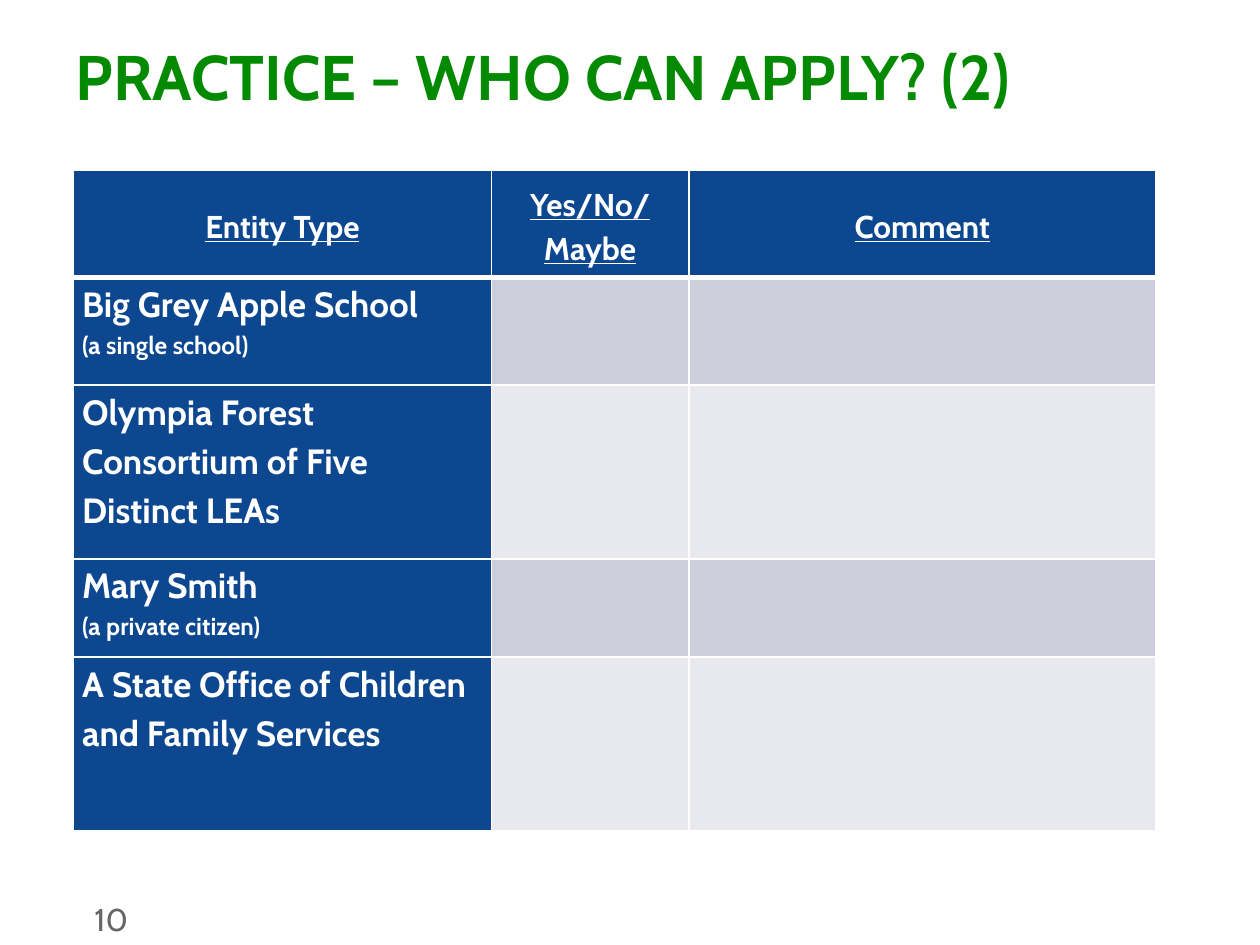
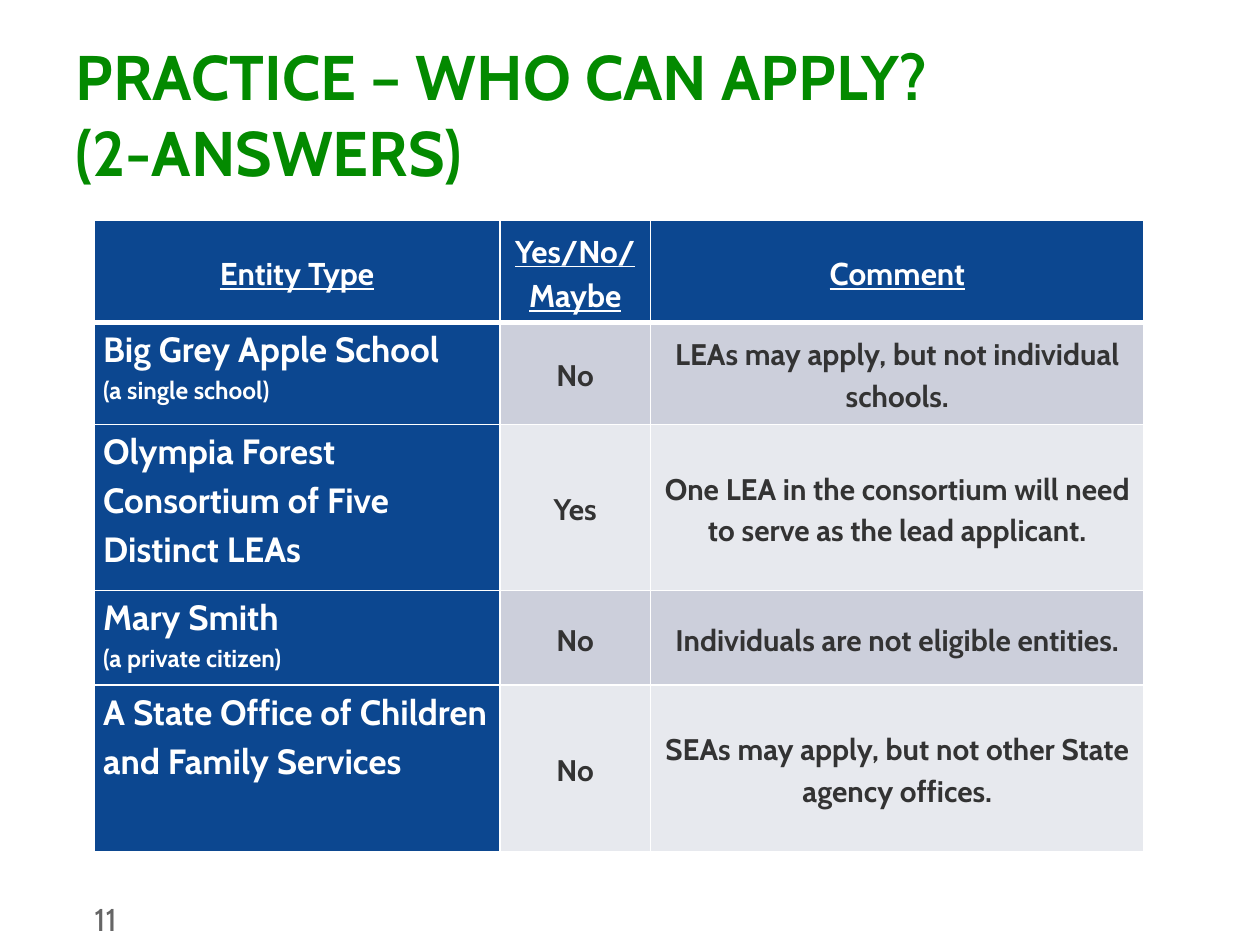
from dataclasses import dataclass

from lxml.etree import SubElement
from pptx import Presentation
from pptx.dml.color import RGBColor
from pptx.enum.text import MSO_ANCHOR, MSO_AUTO_SIZE, PP_ALIGN
from pptx.oxml.ns import qn
from pptx.presentation import Presentation as Deck
from pptx.slide import Slide
from pptx.table import _Cell
from pptx.text.text import TextFrame
from pptx.util import Pt

FONT = "Cabin"
TITLE_GREEN = RGBColor(0x03, 0x8A, 0x00)
HEADER_BLUE = RGBColor(0x0C, 0x47, 0x90)
BAND_DARK = RGBColor(0xCC, 0xCF, 0xDB)
BAND_LIGHT = RGBColor(0xE7, 0xE9, 0xEE)
ANSWER_GREY = RGBColor(0x33, 0x33, 0x33)
NUMBER_GREY = RGBColor(0x66, 0x66, 0x66)
WHITE = RGBColor(0xFF, 0xFF, 0xFF)

TITLE_SIZE, HEADER_SIZE, ENTITY_SIZE = 36, 18, 20
NOTE_SIZE, ANSWER_SIZE, NUMBER_SIZE = 14, 17, 18
LINE_SPACING = 1.15
CELL_INSET = Pt(5)
RULE, HEADER_RULE = Pt(1), Pt(3)


@dataclass(frozen=True)
class Entity:
    name: str
    note: str = ""


@dataclass(frozen=True)
class Answer:
    verdict: str = ""
    comment: str = ""


@dataclass(frozen=True)
class PracticeSlide:
    number: int
    title: str
    left: float
    top: float
    column_widths: tuple[float, ...]
    row_heights: tuple[float, ...]
    answers: tuple[Answer, ...]


HEADINGS = ("Entity Type", "Yes/No/\nMaybe", "Comment")
ENTITIES = (
    Entity("Big Grey Apple School", "(a single school)"),
    Entity("Olympia Forest Consortium of Five Distinct LEAs"),
    Entity("Mary Smith", "(a private citizen)"),
    Entity("A State Office of Children and Family Services"),
)
ANSWERS = (
    Answer("No", "LEAs may apply, but not individual schools."),
    Answer("Yes", "One LEA in the consortium will need to serve as the lead applicant."),
    Answer("No", "Individuals are not eligible entities."),
    Answer("No", "SEAs may apply, but not other State agency offices."),
)
PRACTICE_SLIDES = (
    PracticeSlide(10, "PRACTICE – WHO CAN APPLY? (2)", 42, 97.5,
                  (238.8, 112.8, 266.9), (61.2, 61.2, 99.4, 56.2, 99.4),
                  (Answer(),) * len(ENTITIES)),
    PracticeSlide(11, "PRACTICE – WHO CAN APPLY?\v(2-ANSWERS)", 54, 126,
                  (231.6, 86.2, 282), (58.3, 58.3, 95, 54, 95),
                  ANSWERS),
)


def write(frame: TextFrame, text: str, *, size: float, color: RGBColor,
          bold: bool = False, underline: bool = False,
          align: PP_ALIGN = PP_ALIGN.LEFT, spacing: float = 1.0,
          append: bool = False) -> None:
    """Write one paragraph per line of text, after existing ones if append."""
    for index, line in enumerate(text.split("\n")):
        new = append or index > 0
        paragraph = frame.add_paragraph() if new else frame.paragraphs[0]
        paragraph.text = line
        paragraph.alignment = align
        paragraph.line_spacing = spacing
        for run in paragraph.runs:
            font = run.font
            font.name, font.size = FONT, Pt(size)
            font.bold, font.underline = bold, underline
            font.color.rgb = color


def style_cell(cell: _Cell, fill: RGBColor, anchor: MSO_ANCHOR,
               top: int, bottom: int) -> None:
    properties = cell._tc.get_or_add_tcPr()
    for side, width in (("L", RULE), ("R", RULE), ("T", top), ("B", bottom)):
        border = SubElement(properties, qn(f"a:ln{side}"), w=str(width))
        solid = SubElement(border, qn("a:solidFill"))
        SubElement(solid, qn("a:srgbClr"), val=str(WHITE))
    cell.fill.solid()
    cell.fill.fore_color.rgb = fill
    cell.vertical_anchor = anchor
    cell.margin_left = cell.margin_right = CELL_INSET
    cell.margin_top = cell.margin_bottom = 0


def add_title(slide: Slide, text: str) -> None:
    title = slide.shapes.title
    title.left, title.top, title.width, title.height = Pt(36), Pt(18), Pt(648), Pt(45)
    frame = title.text_frame
    frame.auto_size = MSO_AUTO_SIZE.NONE
    frame.vertical_anchor = MSO_ANCHOR.TOP
    write(frame, text, size=TITLE_SIZE, color=TITLE_GREEN, bold=True)


def add_slide_number(slide: Slide, number: int) -> None:
    frame = slide.shapes.add_textbox(Pt(54), Pt(511), Pt(42), Pt(29)).text_frame
    frame.word_wrap = True
    frame.margin_left = frame.margin_right = 0
    write(frame, str(number), size=NUMBER_SIZE, color=NUMBER_GREY)


def add_eligibility_table(slide: Slide, practice: PracticeSlide) -> None:
    widths, heights = practice.column_widths, practice.row_heights
    table = slide.shapes.add_table(
        len(heights), len(widths), Pt(practice.left), Pt(practice.top),
        Pt(sum(widths)), Pt(sum(heights))).table
    for column, width in zip(table.columns, widths):
        column.width = Pt(width)
    for row, height in zip(table.rows, heights):
        row.height = Pt(height)

    for column, heading in enumerate(HEADINGS):
        cell = table.cell(0, column)
        style_cell(cell, HEADER_BLUE, MSO_ANCHOR.MIDDLE, RULE, HEADER_RULE)
        write(cell.text_frame, heading, size=HEADER_SIZE, color=WHITE, bold=True,
              underline=True, align=PP_ALIGN.CENTER, spacing=LINE_SPACING)

    for row, (entity, answer) in enumerate(zip(ENTITIES, practice.answers), start=1):
        top = HEADER_RULE if row == 1 else RULE
        entity_cell = table.cell(row, 0)
        style_cell(entity_cell, HEADER_BLUE, MSO_ANCHOR.TOP, top, RULE)
        write(entity_cell.text_frame, entity.name, size=ENTITY_SIZE, color=WHITE,
              bold=True, spacing=LINE_SPACING)
        if entity.note:
            write(entity_cell.text_frame, entity.note, size=NOTE_SIZE, color=WHITE,
                  bold=True, spacing=LINE_SPACING, append=True)
        band = BAND_DARK if row % 2 else BAND_LIGHT
        for column, text in enumerate((answer.verdict, answer.comment), start=1):
            cell = table.cell(row, column)
            style_cell(cell, band, MSO_ANCHOR.MIDDLE, top, RULE)
            if text:
                write(cell.text_frame, text, size=ANSWER_SIZE, color=ANSWER_GREY,
                      bold=True, align=PP_ALIGN.CENTER, spacing=LINE_SPACING)


def add_practice_slide(deck: Deck, practice: PracticeSlide) -> None:
    title_only = deck.slide_layouts[5]
    slide = deck.slides.add_slide(title_only)
    add_title(slide, practice.title)
    add_slide_number(slide, practice.number)
    add_eligibility_table(slide, practice)


def main() -> None:
    deck = Presentation()
    deck.slide_width, deck.slide_height = Pt(720), Pt(540)
    for practice in PRACTICE_SLIDES:
        add_practice_slide(deck, practice)
    deck.save("out.pptx")


if __name__ == "__main__":
    main()
